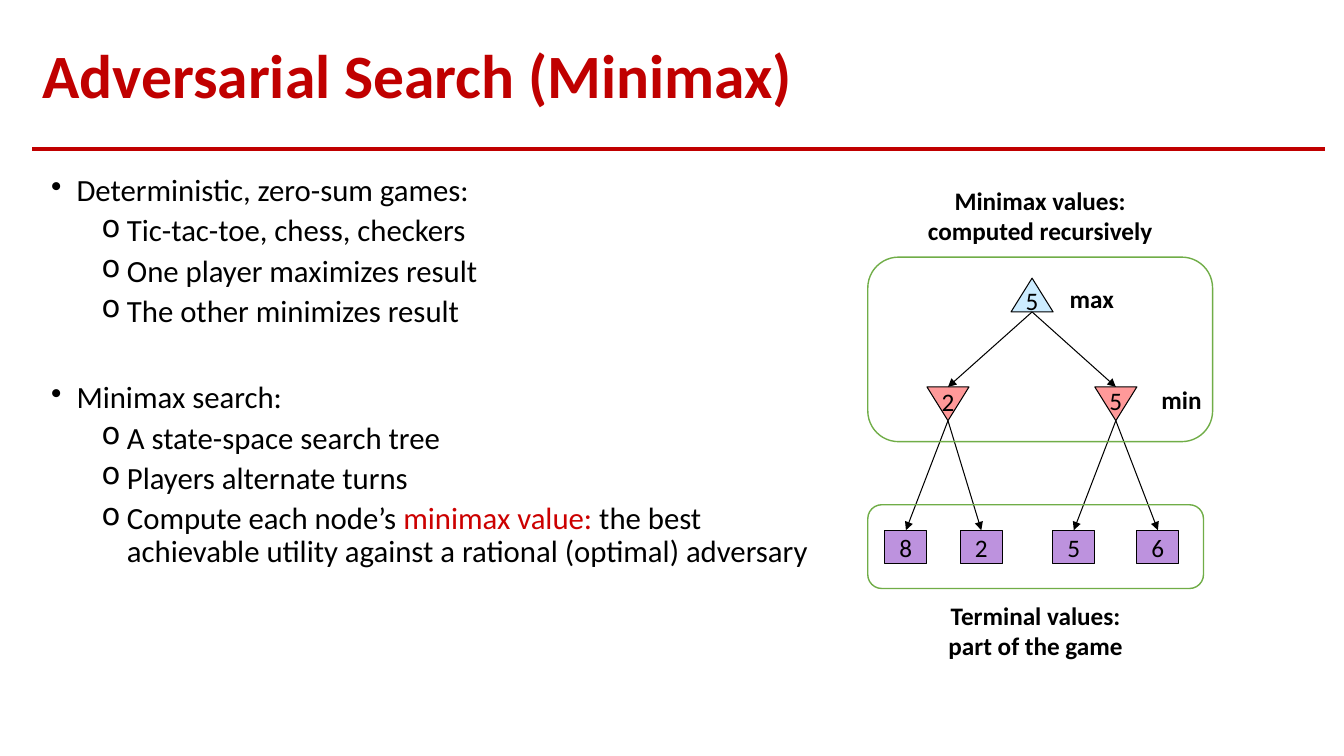
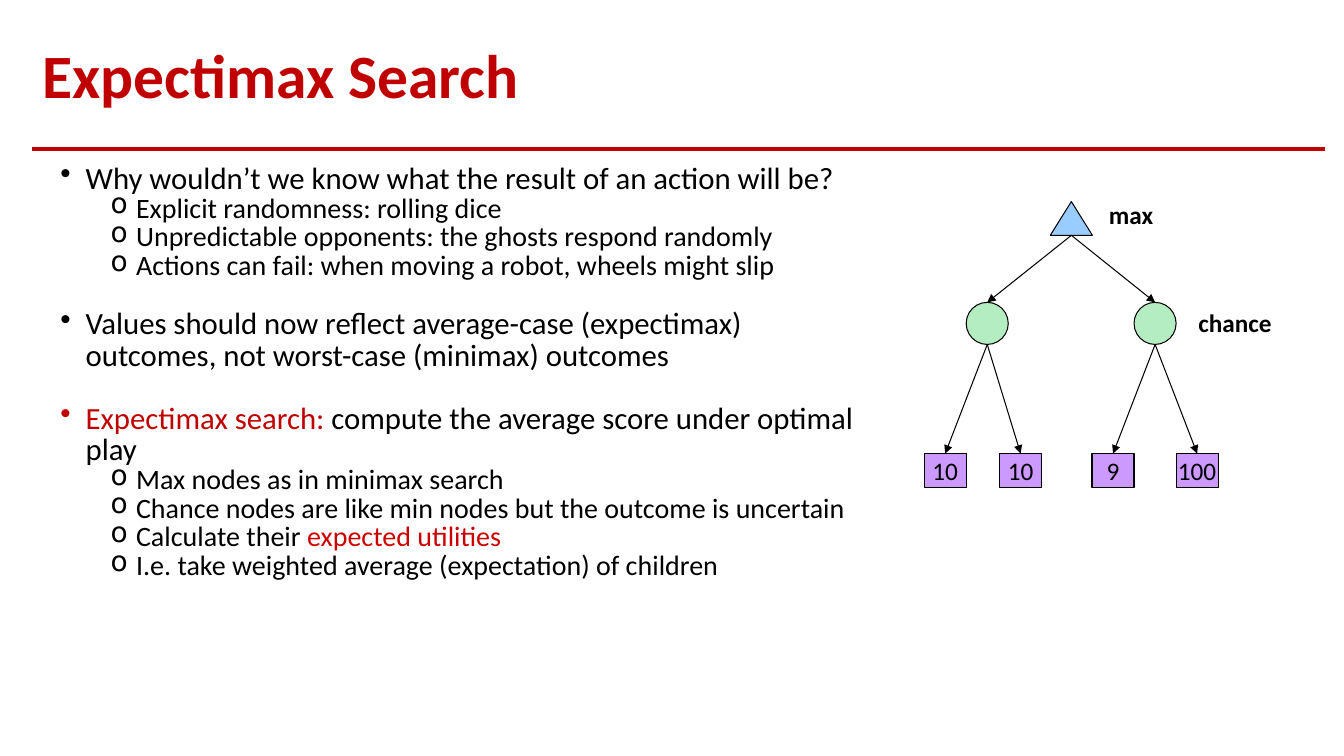
"""Build two lecture slides on minimax and expectimax search."""
from collections import namedtuple
from dataclasses import dataclass

from lxml import etree
from pptx import Presentation
from pptx.dml.color import RGBColor
from pptx.enum.shapes import MSO_CONNECTOR, MSO_SHAPE
from pptx.enum.text import MSO_ANCHOR, MSO_AUTO_SIZE, PP_ALIGN
from pptx.oxml.ns import qn
from pptx.util import Cm, Pt

STRAIGHT = MSO_CONNECTOR.STRAIGHT
TRIANGLE, OVAL = MSO_SHAPE.ISOSCELES_TRIANGLE, MSO_SHAPE.OVAL
RECT, ROUND_RECT = MSO_SHAPE.RECTANGLE, MSO_SHAPE.ROUNDED_RECTANGLE
TOP, MIDDLE = MSO_ANCHOR.TOP, MSO_ANCHOR.MIDDLE
LEFT, CENTER = PP_ALIGN.LEFT, PP_ALIGN.CENTER
NO_AUTOFIT = MSO_AUTO_SIZE.NONE
TITLE_ONLY = 5

Box = namedtuple("Box", "x y w h")
Item = namedtuple("Item", "level text before", defaults=(None,))
Level = namedtuple("Level", "size before")
Tag = namedtuple("Tag", "text x y w")


@dataclass(frozen=True)
class Theme:
    """Colours, font and type sizes shared by the slides."""
    font: str = "Calibri"
    title: int = 44
    body: int = 22
    detail: int = 20
    label: int = 18
    red: RGBColor = RGBColor(0xC0, 0x00, 0x00)
    accent: RGBColor = RGBColor(0xCC, 0x00, 0x00)
    ink: RGBColor = RGBColor(0x00, 0x00, 0x00)
    green: RGBColor = RGBColor(0x70, 0xAD, 0x47)
    pale_blue: RGBColor = RGBColor(0xCC, 0xEC, 0xFF)
    blue: RGBColor = RGBColor(0x99, 0xCC, 0xFF)
    pink: RGBColor = RGBColor(0xFF, 0x99, 0x99)
    mint: RGBColor = RGBColor(0xB5, 0xED, 0xC2)
    purple: RGBColor = RGBColor(0xBD, 0x92, 0xDE)
    violet: RGBColor = RGBColor(0xCC, 0x99, 0xFF)


T = Theme()


@dataclass(frozen=True)
class TreeStyle:
    """Look of the three rows of a game tree."""
    root_fill: RGBColor
    mid_shape: int
    mid_fill: RGBColor
    mid_y: float
    mid_h: float
    mid_turn: int
    leaf_fill: RGBColor


MINIMAX = TreeStyle(T.pale_blue, TRIANGLE, T.pink, 2.74, 0.85, 180, T.purple)
EXPECTIMAX = TreeStyle(T.blue, OVAL, T.mint, 2.54, 1.06, 0, T.violet)
NODE_W, NODE_H = 1.06, 0.85
ROOT_X, MID_XS, LEAF_XS, LEAF_Y = 3.18, (1.06, 5.29), (0, 1.9, 4.23, 6.35), 6.35


def cm(box):
    """Turn a box in centimetres into four lengths."""
    return [Cm(v) for v in box]


def write(p, text, size=T.label, color=T.ink, bold=False, align=LEFT,
          before=0, spacing=None):
    """Fill a paragraph with a string or with (string, colour) runs."""
    p.alignment, p.space_before = align, Pt(before)
    if spacing:
        p.line_spacing = spacing
    for words, run_color in [(text, color)] if isinstance(text, str) else text:
        for i, line in enumerate(words.split("\n")):
            if i:
                p.add_line_break()
            r = p.add_run()
            r.text = line
            r.font.name, r.font.size, r.font.bold = T.font, Pt(size), bold
            r.font.color.rgb = run_color


def add_text(slide, box, text, anchor=MIDDLE, **fmt):
    """Add a wrapping text box with one paragraph."""
    tf = slide.shapes.add_textbox(*cm(box)).text_frame
    tf.word_wrap, tf.vertical_anchor = True, anchor
    write(tf.paragraphs[0], text, **fmt)


def add_shape(slide, kind, box, fill=None, line=T.ink, width=0.75):
    """Add an outlined shape, hollow when no fill is given."""
    sp = slide.shapes.add_shape(kind, *cm(box))
    sp.shadow.inherit = False
    if fill is None:
        sp.fill.background()
    else:
        sp.fill.solid()
        sp.fill.fore_color.rgb = fill
    sp.line.color.rgb, sp.line.width = line, Pt(width)
    return sp


def add_line(slide, start, end, color=T.ink, width=0.75, arrow=False):
    """Add a straight line, with an arrowhead at its end if asked."""
    sp = slide.shapes.add_connector(STRAIGHT, *cm((*start, *end)))
    sp.line.color.rgb, sp.line.width = color, Pt(width)
    if arrow:
        etree.SubElement(sp.line._get_or_add_ln(), qn("a:tailEnd"), type="triangle")
    etree.SubElement(sp._element.spPr, qn("a:effectLst"))
    return sp


def add_titled_slide(prs, title):
    """Add a slide with the red title and the rule below it."""
    slide = prs.slides.add_slide(prs.slide_layouts[TITLE_ONLY])
    sp = slide.shapes.title
    sp.left, sp.top, sp.width, sp.height = cm((0.81, 0.71, 32.56, 2.54))
    tf = sp.text_frame
    tf.auto_size, tf.vertical_anchor, tf.word_wrap = NO_AUTOFIT, MIDDLE, True
    write(tf.paragraphs[0], title, size=T.title, color=T.red, bold=True, spacing=0.9)
    add_line(slide, (0.81, 3.76), (33.38, 3.76), color=T.red, width=2.5)
    return slide


def add_bullets(slide, box, items, levels, spacing):
    """Add a two-level bullet list."""
    tf = slide.shapes.add_textbox(*cm(box)).text_frame
    tf.word_wrap = True
    for i, item in enumerate(items):
        p = tf.add_paragraph() if i else tf.paragraphs[0]
        p.level = item.level
        pPr = p._p.get_or_add_pPr()
        pPr.set("marL", str(Cm((0.64, 1.91)[item.level])))
        pPr.set("indent", str(-Cm(0.64)))
        etree.SubElement(pPr, qn("a:buChar"), char="•o"[item.level])
        level = levels[item.level]
        before = level.before if item.before is None else item.before
        write(p, item.text, size=level.size, before=before, spacing=spacing)


def add_tree(slide, x, y, style, leaves, tags, values=None):
    """Draw a three-row game tree from its top left corner."""
    root = Box(x + ROOT_X, y, NODE_W, NODE_H)
    mids = [Box(x + dx, y + style.mid_y, NODE_W, style.mid_h) for dx in MID_XS]
    add_shape(slide, TRIANGLE, root, style.root_fill)
    for mid in mids:
        add_shape(slide, style.mid_shape, mid, style.mid_fill).rotation = style.mid_turn
        add_line(slide, (root.x + root.w / 2, root.y + root.h),
                 (mid.x + mid.w / 2, mid.y), arrow=True)
    for i, (dx, value) in enumerate(zip(LEAF_XS, leaves)):
        leaf, mid = Box(x + dx, y + LEAF_Y, NODE_W, NODE_H), mids[i // 2]
        sp = add_shape(slide, RECT, leaf, style.leaf_fill)
        tf = sp.text_frame
        tf.margin_left = tf.margin_right = tf.margin_top = tf.margin_bottom = 0
        tf.word_wrap, tf.vertical_anchor = False, MIDDLE
        write(tf.paragraphs[0], value, align=CENTER)
        edge = add_line(slide, (mid.x + mid.w / 2, mid.y + mid.h),
                        (leaf.x + leaf.w / 2, leaf.y), arrow=True)
        edge.end_connect(sp, 0)
    for tag in tags:
        add_text(slide, Box(x + tag.x, y + tag.y, tag.w, 1.02), tag.text,
                 bold=True, align=CENTER)
    for node, value, dy in zip([root, *mids], values or (), (0.05, -0.13, -0.17)):
        add_text(slide, Box(node.x, node.y + dy, node.w, 1.02), value,
                 anchor=TOP, align=CENTER)


def add_frame(slide, box, caption, above):
    """Draw a green frame with a caption above or below it."""
    add_shape(slide, ROUND_RECT, box, line=T.green, width=1)
    height, gap = 1.8, 0.15
    top = box.y - gap - height if above else box.y + box.h + gap
    add_text(slide, Box(box.x, top, box.w, height), caption, bold=True, align=CENTER)


def minimax_slide(prs):
    """Build the slide on adversarial search."""
    slide = add_titled_slide(prs, "Adversarial Search (Minimax)")
    add_bullets(slide, Box(1.04, 4.29, 20.24, 12.57), [
        Item(0, "Deterministic, zero-sum games:", 0),
        Item(1, "Tic-tac-toe, chess, checkers"),
        Item(1, "One player maximizes result"),
        Item(1, "The other minimizes result"),
        Item(0, "Minimax search:", 38),
        Item(1, "A state-space search tree"),
        Item(1, "Players alternate turns"),
        Item(1, [("Compute each node’s ", T.ink), ("minimax value: ", T.accent),
                 ("the best achievable utility against a rational (optimal) adversary",
                  T.ink)]),
    ], (Level(T.body, 10), Level(T.body, 5)), 0.9)
    add_tree(slide, 22.3, 7.01, MINIMAX, ("8", "2", "5", "6"),
             (Tag("max", 4.29, 0, 1.85), Tag("min", 6.55, 2.54, 1.85)),
             ("5", "2", "5"))
    add_frame(slide, Box(21.87, 12.72, 8.46, 2.11),
              "Terminal values:\npart of the game", above=False)
    add_frame(slide, Box(21.87, 6.48, 8.69, 4.65),
              "Minimax values:\ncomputed recursively", above=True)


def expectimax_slide(prs):
    """Build the slide on expectimax search."""
    slide = add_titled_slide(prs, "Expectimax Search")
    add_bullets(slide, Box(1.27, 4.01, 20.75, 13.54), [
        Item(0, "Why wouldn’t we know what the result of an action will be?"),
        Item(1, "Explicit randomness: rolling dice"),
        Item(1, "Unpredictable opponents: the ghosts respond randomly"),
        Item(1, "Actions can fail: when moving a robot, wheels might slip"),
        Item(0, "Values should now reflect average-case (expectimax) outcomes, "
                "not worst-case (minimax) outcomes", 20.5),
        Item(0, [("Expectimax search:", T.red),
                 (" compute the average score under optimal play", T.ink)], 22.5),
        Item(1, "Max nodes as in minimax search"),
        Item(1, "Chance nodes are like min nodes but the outcome is uncertain"),
        Item(1, [("Calculate their ", T.ink), ("expected utilities", T.accent)]),
        Item(1, "I.e. take weighted average (expectation) of children"),
    ], (Level(T.body, 0), Level(T.detail, 0)), 0.85)
    add_tree(slide, 23.29, 5.08, EXPECTIMAX, ("10", "10", "9", "100"),
             (Tag("max", 4.29, -0.18, 1.85), Tag("chance", 6.35, 2.54, 2.97)))


def main():
    """Build and save the presentation."""
    prs = Presentation()
    prs.slide_width, prs.slide_height = Cm(33.87), Cm(19.05)
    minimax_slide(prs)
    expectimax_slide(prs)
    prs.save("out.pptx")


if __name__ == "__main__":
    main()
